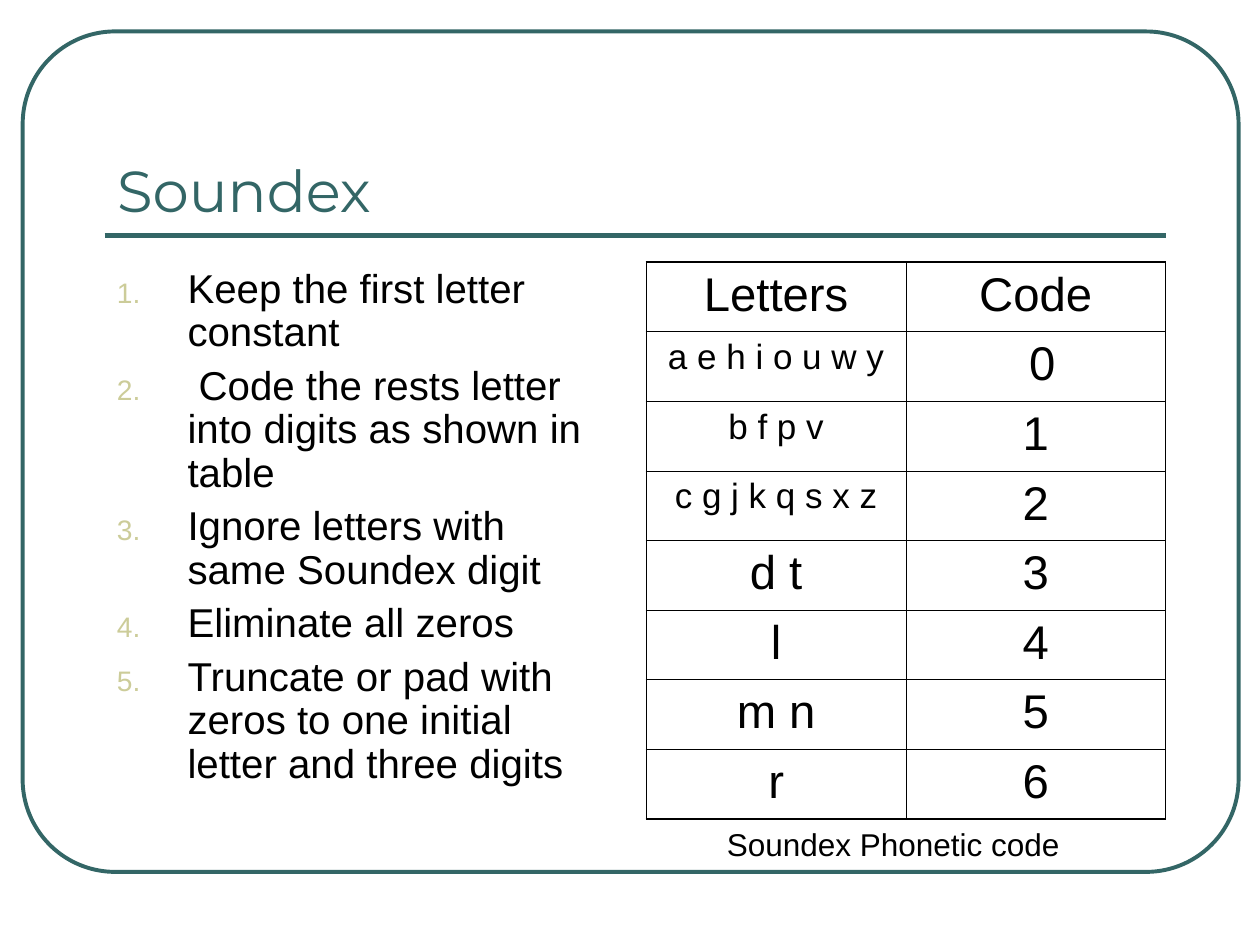
from dataclasses import dataclass

from lxml.etree import SubElement
from pptx import Presentation
from pptx.dml.color import RGBColor
from pptx.enum.shapes import MSO_CONNECTOR as Connector, MSO_SHAPE as Preset
from pptx.enum.text import MSO_ANCHOR as Anchor, MSO_AUTO_SIZE as AutoSize, PP_ALIGN as Align
from pptx.oxml.ns import qn
from pptx.slide import Slide
from pptx.table import _Cell as Cell
from pptx.text.text import _Paragraph as Paragraph
from pptx.util import Inches, Pt

TEAL = RGBColor(0x33, 0x66, 0x66)
KHAKI = RGBColor(0xCC, 0xCC, 0x99)
BLACK = RGBColor(0, 0, 0)
OUTER_BORDER = 1.08
INNER_BORDER = 0.45


@dataclass(frozen=True)
class CodeRow:
    letters: str
    code: str
    letters_size: float = 27


STEPS = [
    "Keep the first letter constant",
    " Code the rests letter into digits as shown in table",
    "Ignore letters with same Soundex digit",
    "Eliminate all zeros",
    "Truncate or pad with zeros to one initial letter and three digits",
]
CODE_ROWS = [
    CodeRow("Letters", "Code"),
    CodeRow("a e h i o u w y", " 0", 20),
    CodeRow("b f p v", "1", 20),
    CodeRow("c g j k q s x z", "2", 20),
    CodeRow("d t", "3"),
    CodeRow("l", "4"),
    CodeRow("m n", "5"),
    CodeRow("r", "6"),
]


def format_text(paragraph: Paragraph, size: float, color: RGBColor = BLACK, font: str = "Arial") -> None:
    for run in paragraph.runs:
        run.font.size = Pt(size)
        run.font.name = font
        run.font.color.rgb = color


def number_step(paragraph: Paragraph) -> None:
    properties = paragraph._p.get_or_add_pPr()
    indent = Inches(0.56)
    properties.set("marL", str(indent))
    properties.set("indent", str(-indent))
    bullet_color = SubElement(properties, qn("a:buClr"))
    SubElement(bullet_color, qn("a:srgbClr"), val=str(KHAKI))
    SubElement(properties, qn("a:buSzPct"), val="70000")
    SubElement(properties, qn("a:buFont"), typeface="Arial")
    SubElement(properties, qn("a:buAutoNum"), type="arabicPeriod")


def draw_frame(slide: Slide) -> None:
    frame = slide.shapes.add_shape(
        Preset.ROUNDED_RECTANGLE, Inches(0.18), Inches(0.25), Inches(9.65), Inches(6.67)
    )
    frame.adjustments[0] = 0.11
    frame.shadow.inherit = False
    frame.fill.background()
    frame.line.color.rgb = TEAL
    frame.line.width = Pt(2.25)

    rule = slide.shapes.add_connector(
        Connector.STRAIGHT, Inches(0.83), Inches(1.87), Inches(9.25), Inches(1.87)
    )
    rule.line.color.rgb = TEAL
    rule.line.width = Pt(3)
    SubElement(rule._element.spPr, qn("a:effectLst"))


def write_title(slide: Slide, text: str) -> None:
    title = slide.shapes.title
    title.left, title.top = Inches(0.83), Inches(0.58)
    title.width, title.height = Inches(8.42), Inches(1.25)
    title_frame = title.text_frame
    title_frame.text = text
    title_frame.auto_size = AutoSize.NONE
    title_frame.vertical_anchor = Anchor.BOTTOM
    heading = title_frame.paragraphs[0]
    heading.alignment = Align.LEFT
    heading.line_spacing = 1.0
    format_text(heading, 33, TEAL, "Montserrat")


def write_steps(slide: Slide) -> None:
    steps_frame = slide.shapes.add_textbox(
        Inches(0.83), Inches(2.08), Inches(4.12), Inches(4.42)
    ).text_frame
    steps_frame.word_wrap = True
    steps_frame.text = "\n".join(STEPS)
    for step in steps_frame.paragraphs:
        step.line_spacing = 0.9
        step.space_before = Pt(5.8)
        number_step(step)
        format_text(step, 23)


def draw_borders(cell: Cell, widths: dict[str, float]) -> None:
    properties = cell._tc.get_or_add_tcPr()
    for side, width in widths.items():
        border = SubElement(properties, qn(f"a:ln{side}"), w=str(Pt(width)))
        fill = SubElement(border, qn("a:solidFill"))
        SubElement(fill, qn("a:srgbClr"), val=str(BLACK))
    cell.fill.background()


def fill_cell(cell: Cell, text: str, size: float) -> None:
    cell.text = text
    entry = cell.text_frame.paragraphs[0]
    entry.alignment = Align.CENTER
    entry.space_before = Pt(size / 4)
    format_text(entry, size)


def draw_code_table(slide: Slide) -> None:
    last_row = len(CODE_ROWS) - 1
    table = slide.shapes.add_table(
        len(CODE_ROWS), 2, Inches(5.13), Inches(2.08), Inches(4.12), Inches(4.42)
    ).table
    table.first_row = False
    table.horz_banding = False
    for row, code_row in enumerate(CODE_ROWS):
        entries = [(code_row.letters, code_row.letters_size), (code_row.code, 27)]
        for column, (text, size) in enumerate(entries):
            cell = table.cell(row, column)
            outer_sides = {"L": column == 0, "R": column == 1, "T": row == 0, "B": row == last_row}
            draw_borders(
                cell,
                {side: OUTER_BORDER if outer else INNER_BORDER for side, outer in outer_sides.items()},
            )
            fill_cell(cell, text, size)


def write_caption(slide: Slide, text: str) -> None:
    caption_frame = slide.shapes.add_textbox(
        Inches(5.67), Inches(6.5), Inches(3.1), Inches(0.4)
    ).text_frame
    caption_frame.word_wrap = True
    caption_frame.text = text
    format_text(caption_frame.paragraphs[0], 18)


def main() -> None:
    presentation = Presentation()
    presentation.slide_width = Inches(10)
    presentation.slide_height = Inches(7.5)
    slide = presentation.slides.add_slide(presentation.slide_layouts[5])
    draw_frame(slide)
    write_title(slide, "Soundex")
    write_steps(slide)
    draw_code_table(slide)
    write_caption(slide, "Soundex Phonetic code")
    presentation.save("out.pptx")


if __name__ == "__main__":
    main()
